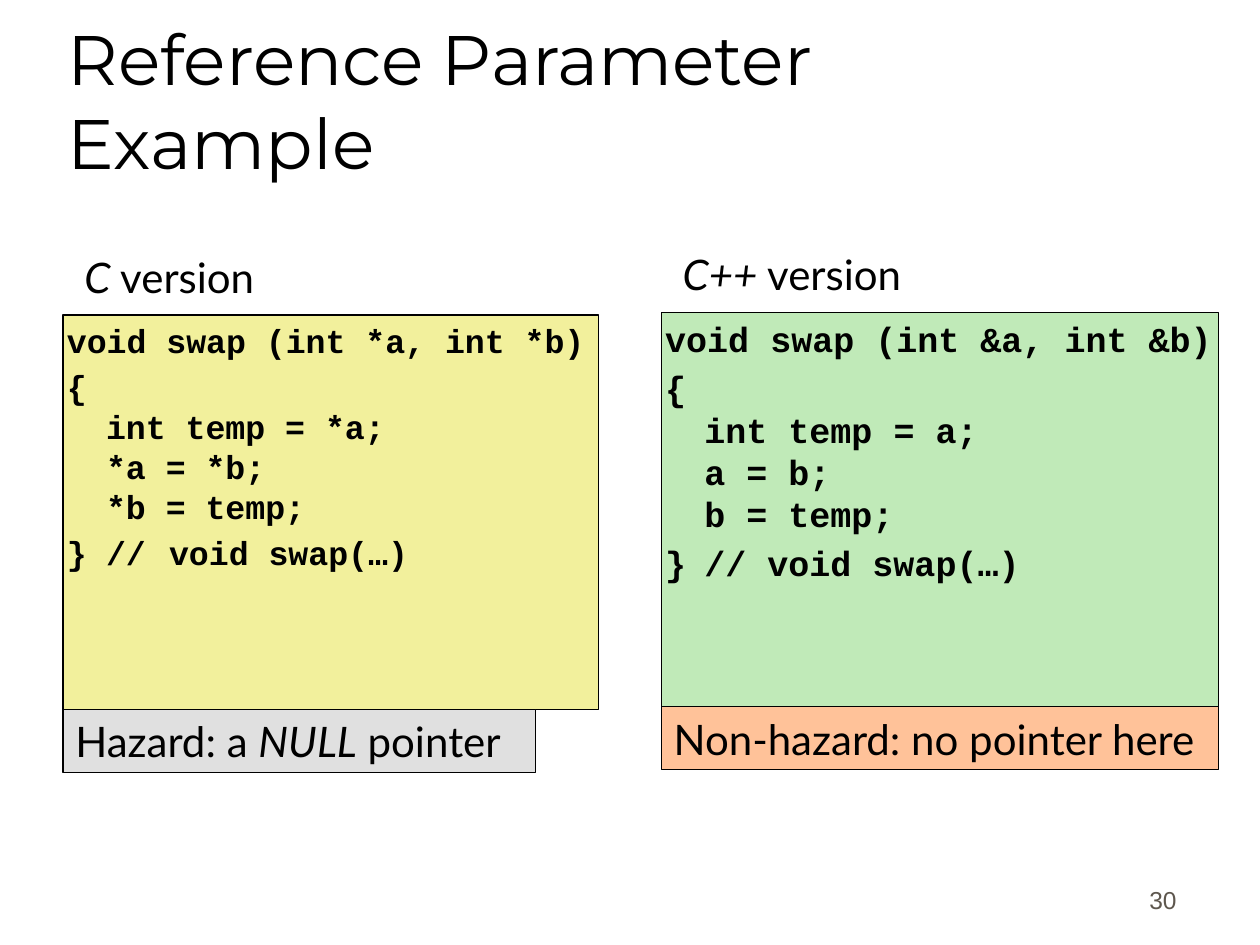
from lxml import etree
from pptx import Presentation, util as u
from pptx.dml.color import RGBColor
from pptx.enum import shapes, text
from pptx.oxml import ns


def tone(code):
    return RGBColor.from_string(code)


class Deck:
    """Hold the style and the current slide, and draw each kind of element."""

    ink, sans, mono = "000000", "Lato", "Courier New"

    def __init__(self, wide, high):
        self.prs = Presentation()
        self.prs.slide_width, self.prs.slide_height = u.Cm(wide), u.Cm(high)
        self.slide = self.prs.slides.add_slide(self.prs.slide_layouts[6])

    def frame(self, shape, pad, anchor):
        frame = shape.text_frame
        frame.word_wrap = True
        frame.vertical_anchor = anchor
        frame.margin_left = frame.margin_right = u.Cm(pad[0])
        frame.margin_top = frame.margin_bottom = u.Cm(pad[1])
        return frame

    def label(self, box, pad=(0.25, 0.13), anchor=text.MSO_ANCHOR.TOP):
        shape = self.slide.shapes.add_textbox(*map(u.Cm, box))
        return self.frame(shape, pad, anchor)

    def panel(self, box, fill, pad=(0.25, 0.13)):
        shape = self.slide.shapes.add_shape(shapes.MSO_SHAPE.RECTANGLE, *map(u.Cm, box))
        shape.shadow.inherit = False
        shape.fill.solid()
        shape.fill.fore_color.rgb = tone(fill)
        shape.line.color.rgb = tone(self.ink)
        shape.line.width = u.Pt(0.75)
        return self.frame(shape, pad, text.MSO_ANCHOR.TOP)

    def font(self, para, size, face, ink=None, bold=None, align=text.PP_ALIGN.LEFT):
        para.alignment = align
        font = para.font
        font.size, font.name, font.bold = u.Pt(size), face, bold
        font.color.rgb = tone(ink or self.ink)

    def words(self, frame, parts, size=24, face=sans, **look):
        para = frame.paragraphs[0]
        for part, slant in parts:
            run = para.add_run()
            run.text = part
            if slant:
                run.font.italic = True
        self.font(para, size, face, **look)

    def code(self, frame, blocks, size, stop):
        for i, block in enumerate(blocks):
            para = frame.add_paragraph() if i else frame.paragraphs[0]
            para.text = block
            props = para._p.get_or_add_pPr()
            props.set("marL", str(u.Cm(0.79)))
            props.set("indent", str(u.Cm(-0.79)))
            if i:
                para.space_before = u.Pt(size * 0.2)
            tabs = etree.SubElement(props, ns.qn("a:tabLst"))
            for pos in (0.79, stop):
                etree.SubElement(tabs, ns.qn("a:tab"), pos=str(u.Cm(pos)), algn="l")
            self.font(para, size, self.mono, bold=True)

    def column(self, left, top, wide, fill, head, blocks, size, stop, note, base, tint):
        self.code(self.panel((left, top, wide, 7.95), fill, (0.08, 0.1)), blocks, size, stop)
        self.words(self.label((left + 0.43, top - 1.28, 6.35, 0.84), (0, 0)), head)
        self.words(self.panel((left, top + 7.95, base, 1.27), tint), note)


def main():
    deck = Deck(25.4, 19.05)
    low = text.MSO_ANCHOR.BOTTOM
    deck.words(deck.label((1.12, 0.64, 21.59, 3.18), anchor=low),
               [("Reference Parameter Example", False)], 40, "Montserrat")
    deck.words(deck.label((18.69, 17.3, 5.28, 1.27), anchor=low),
               [("30", False)], 14, "Arial", ink="5E574E", align=text.PP_ALIGN.RIGHT)
    end = "}\t//\tvoid swap(…)"
    deck.column(1.27, 6.35, 10.8, "F2F09C", [("C", True), (" version", False)],
                ["void swap (int *a, int *b)",
                 "{\nint temp = *a;\n*a = *b;\n*b = temp;", end], 19, 1.75,
                [("Hazard: a ", False), ("NULL", True), (" pointer", False)], 9.53, "E0E0E0")
    deck.column(13.33, 6.3, 11.23, "C0EAB8", [("C++", True), (" version", False)],
                ["void swap (int &a, int &b)",
                 "{\nint temp = a;\na = b;\nb = temp;", end], 20, 3.35,
                [("Non-hazard: no pointer here", False)], 11.23, "FFC299")
    deck.prs.save("out.pptx")


if __name__ == "__main__":
    main()
